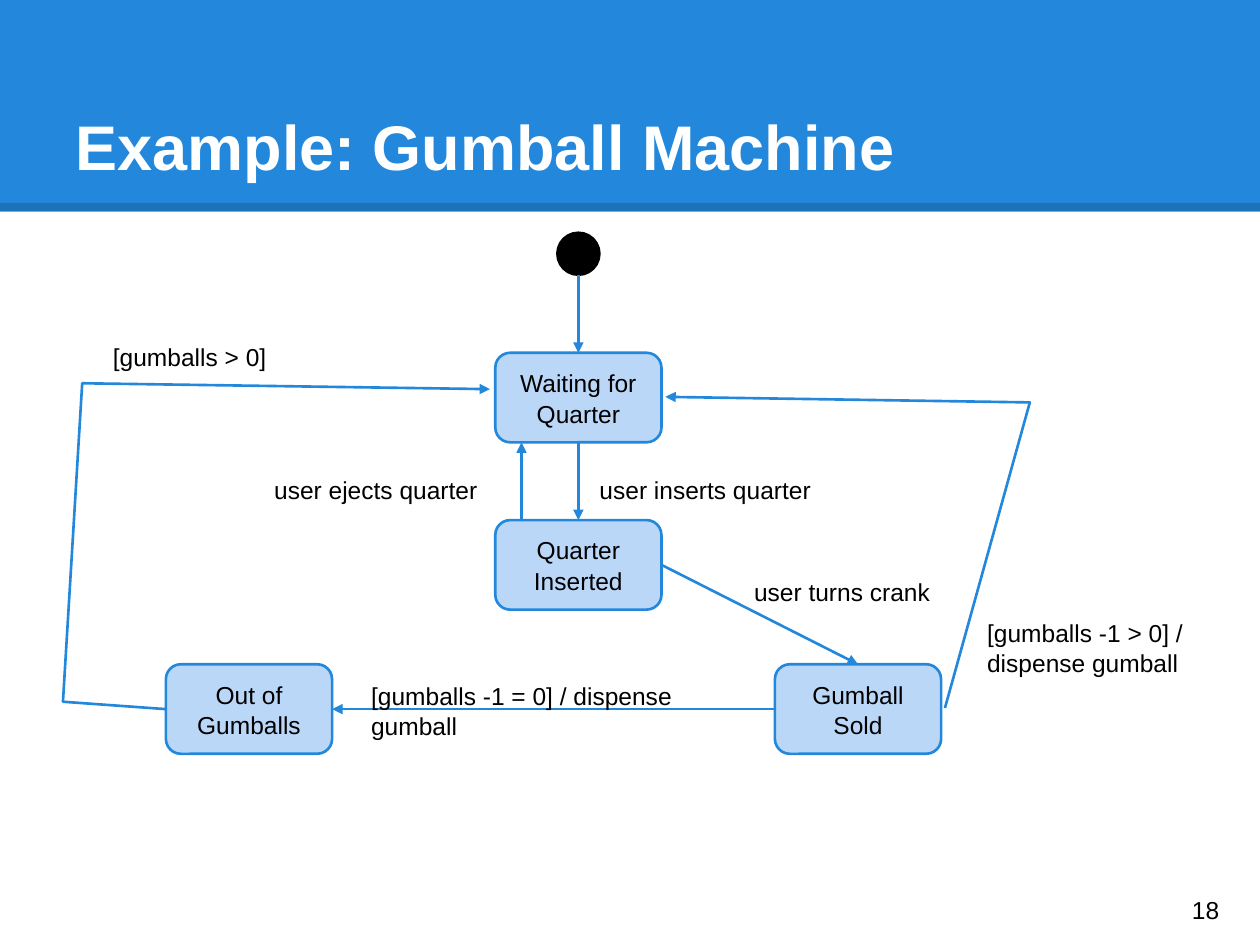
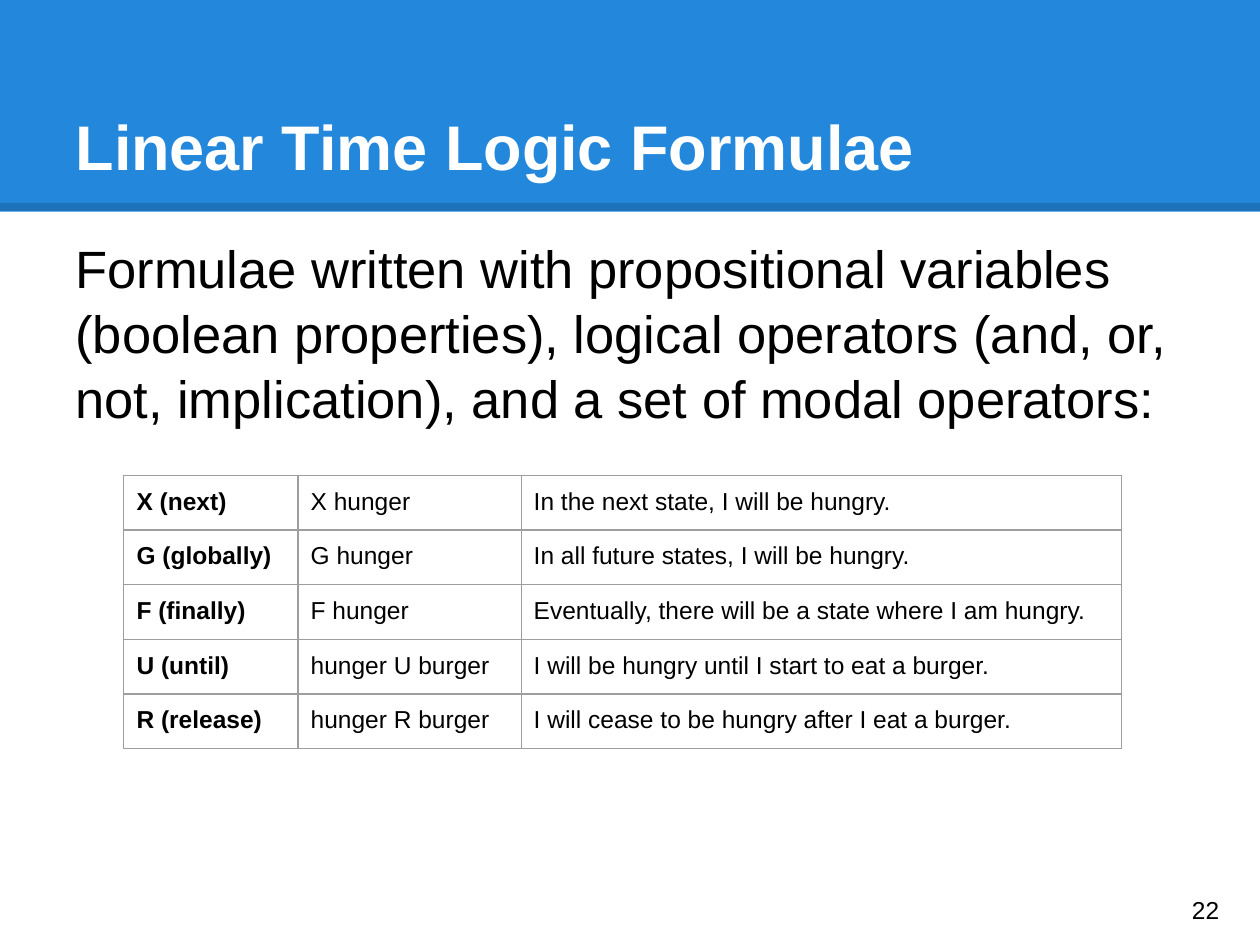
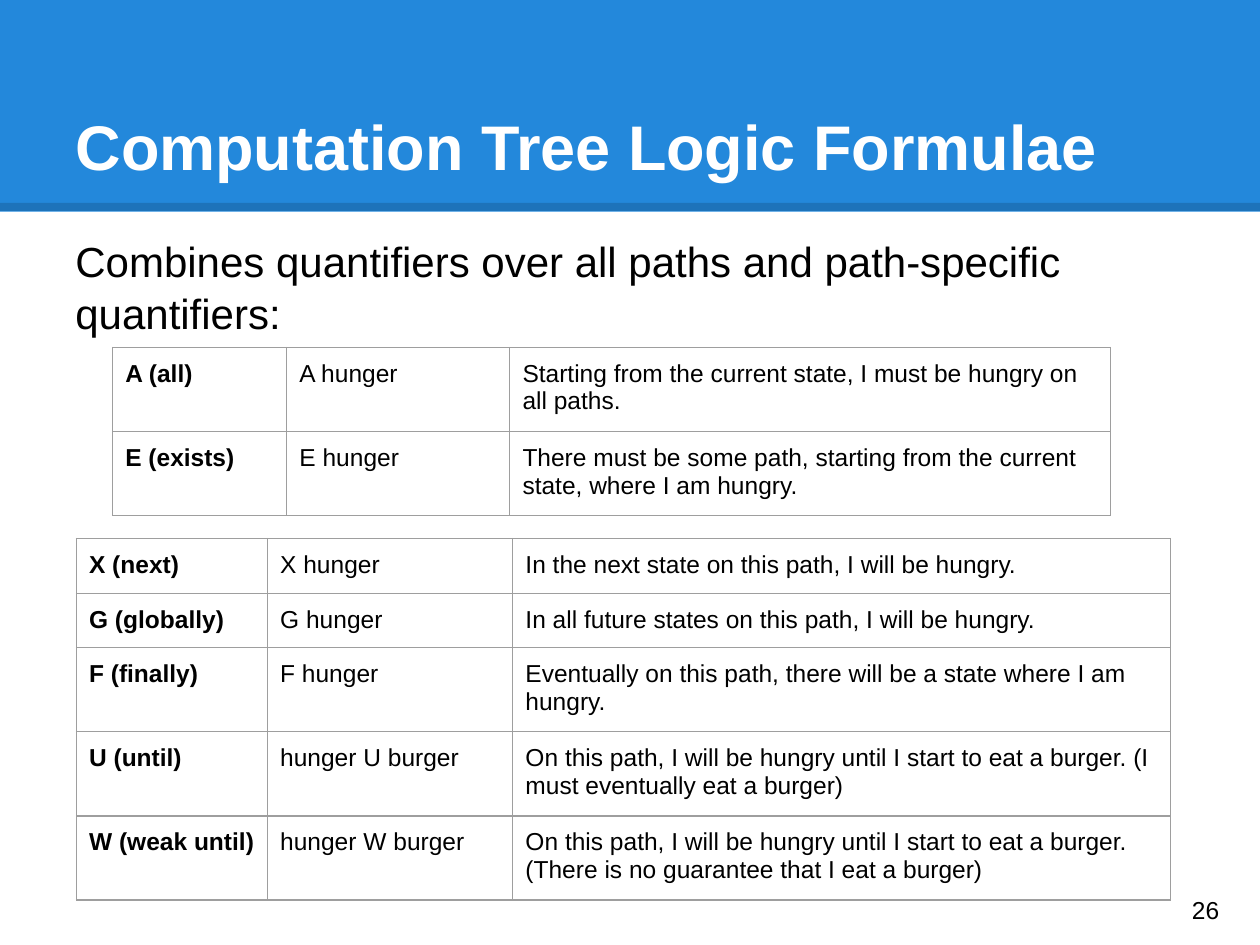
from typing import NamedTuple

from lxml import etree
from pptx import Presentation
from pptx.dml.color import RGBColor
from pptx.enum.shapes import MSO_CONNECTOR, MSO_SHAPE
from pptx.enum.text import MSO_ANCHOR, PP_ALIGN
from pptx.oxml.ns import qn
from pptx.util import Pt

STRAIGHT = MSO_CONNECTOR.STRAIGHT
RECTANGLE = MSO_SHAPE.RECTANGLE
ROUNDED = MSO_SHAPE.ROUNDED_RECTANGLE
OVAL = MSO_SHAPE.OVAL
TOP, MIDDLE, BOTTOM = MSO_ANCHOR.TOP, MSO_ANCHOR.MIDDLE, MSO_ANCHOR.BOTTOM
LEFT, CENTER = PP_ALIGN.LEFT, PP_ALIGN.CENTER
SITE_TOP, SITE_LEFT, SITE_BOTTOM, SITE_RIGHT = range(4)

FONT = "Arial"
BLUE = "2388DB"
PALE_BLUE = "BBD7F8"
BLACK = "000000"
WHITE = "FFFFFF"
GRID_GRAY = "9E9E9E"

SLIDE_WIDTH, SLIDE_HEIGHT = 720, 540
BAND_HEIGHT = 121
RULE_Y = 118.2
MARGIN = 7.2
SMALL = 14
LINE_WIDTH = 1.5
BODY_SPACING = 1.04
STATE_WIDTH, STATE_HEIGHT = 95, 51.2
LABEL_HEIGHT = 24
ROW_HEIGHT = 30.2


class State(NamedTuple):
    text: str
    left: float
    top: float


class Label(NamedTuple):
    text: str
    left: float
    top: float
    width: float


class Transition(NamedTuple):
    source: str
    source_site: int
    target: str
    target_site: int


class Operators(NamedTuple):
    left: float
    top: float
    widths: tuple
    rows: list


STATES = {
    "waiting": State("Waiting for Quarter", 283, 201.6),
    "inserted": State("Quarter Inserted", 283, 297.2),
    "sold": State("Gumball Sold", 442.8, 379.6),
    "empty": State("Out of Gumballs", 94.8, 379.6),
}
TRANSITIONS = [
    Transition("start", SITE_BOTTOM, "waiting", SITE_TOP),
    Transition("waiting", SITE_BOTTOM, "inserted", SITE_TOP),
    Transition("inserted", SITE_RIGHT, "sold", SITE_TOP),
    Transition("sold", SITE_LEFT, "empty", SITE_RIGHT),
]
RETURN_ROUTES = [
    [(540, 404.6), (588.5, 230), (380.2, 226.8)],
    [(94.8, 405.2), (36, 401), (47, 219), (280, 222.4)],
]
LABELS = [
    Label("user inserts quarter", 335.5, 263.4, 222),
    Label("user ejects quarter", 149.6, 263.4, 133),
    Label("user turns crank", 423.8, 321.6, 133),
    Label("[gumballs > 0]", 57.4, 187.4, 162),
    Label("[gumballs -1 > 0] / dispense gumball", 557, 345.2, 127),
    Label("[gumballs -1 = 0] / dispense gumball", 205, 381.2, 232.5),
]

NARROW_COLUMNS = (99.5, 127.5, 343)
WIDE_COLUMNS = (109.2, 140.2, 376)
LINEAR_OPERATORS = Operators(70.8, 271.6, NARROW_COLUMNS, [
    ("X (next)", "X hunger", "In the next state, I will be hungry."),
    ("G (globally)", "G hunger", "In all future states, I will be hungry."),
    ("F (finally)", "F hunger",
     "Eventually, there will be a state where I am hungry."),
    ("U (until)", "hunger U burger",
     "I will be hungry until I start to eat a burger."),
    ("R (release)", "hunger R burger",
     "I will cease to be hungry after I eat a burger."),
])
PATH_OPERATORS = Operators(43.7, 307.7, WIDE_COLUMNS, [
    ("X (next)", "X hunger",
     "In the next state on this path, I will be hungry."),
    ("G (globally)", "G hunger",
     "In all future states on this path, I will be hungry."),
    ("F (finally)", "F hunger",
     "Eventually on this path, there will be a state where I am hungry."),
    ("U (until)", "hunger U burger",
     "On this path, I will be hungry until I start to eat a burger. "
     "(I must eventually eat a burger)"),
    ("W (weak until)", "hunger W burger",
     "On this path, I will be hungry until I start to eat a burger. "
     "(There is no guarantee that I eat a burger)"),
])
QUANTIFIERS = Operators(64.4, 198.6, NARROW_COLUMNS, [
    ("A (all)", "A hunger",
     "Starting from the current state, I must be hungry on all paths."),
    ("E (exists)", "E hunger",
     "There must be some path, starting from the current state, "
     "where I am hungry."),
])


def rgb(color: str) -> RGBColor:
    return RGBColor.from_string(color)


def write(frame, text: str, size: float = SMALL, color: str = BLACK,
          bold: bool = False, align=LEFT, spacing: float = 1.0) -> None:
    frame.text = text
    paragraph = frame.paragraphs[0]
    paragraph.alignment = align
    paragraph.line_spacing = spacing
    for run in paragraph.runs:
        run.font.name = FONT
        run.font.size = Pt(size)
        run.font.bold = bold
        run.font.color.rgb = rgb(color)


def set_frame(frame, anchor) -> None:
    frame.word_wrap = True
    frame.vertical_anchor = anchor
    frame.margin_left = frame.margin_right = Pt(MARGIN)
    frame.margin_top = frame.margin_bottom = Pt(MARGIN)


def add_text(slide, text: str, left: float, top: float, width: float,
             height: float, size: float = SMALL, anchor=TOP) -> None:
    box = slide.shapes.add_textbox(Pt(left), Pt(top), Pt(width), Pt(height))
    set_frame(box.text_frame, anchor)
    write(box.text_frame, text, size, spacing=BODY_SPACING)


def add_filled(slide, preset, left: float, top: float, width: float,
               height: float, fill: str, outline: str = ""):
    shape = slide.shapes.add_shape(preset, Pt(left), Pt(top), Pt(width), Pt(height))
    shape.shadow.inherit = False
    shape.fill.solid()
    shape.fill.fore_color.rgb = rgb(fill)
    if outline:
        shape.line.color.rgb = rgb(outline)
        shape.line.width = Pt(LINE_WIDTH)
    else:
        shape.line.fill.background()
    return shape


def set_line(shape, color: str, width: float):
    shape.line.color.rgb = rgb(color)
    shape.line.width = Pt(width)
    return shape.element.spPr.find(qn("a:ln"))


def add_line(slide, x1: float, y1: float, x2: float, y2: float):
    line = slide.shapes.add_connector(STRAIGHT, Pt(x1), Pt(y1), Pt(x2), Pt(y2))
    set_line(line, BLUE, LINE_WIDTH)
    etree.SubElement(line.element.spPr, qn("a:effectLst"))
    return line


def add_arrowhead(shape) -> None:
    outline = set_line(shape, BLUE, LINE_WIDTH)
    etree.SubElement(outline, qn("a:tailEnd"), type="triangle")


def add_route(slide, points: list) -> None:
    corners = [(Pt(x), Pt(y)) for x, y in points]
    builder = slide.shapes.build_freeform(*corners[0])
    builder.add_line_segments(corners[1:], close=False)
    route = builder.convert_to_shape()
    route.shadow.inherit = False
    route.fill.background()
    add_arrowhead(route)


def add_operators(slide, operators: Operators) -> None:
    rows, widths = operators.rows, operators.widths
    table = slide.shapes.add_table(
        len(rows), len(widths), Pt(operators.left), Pt(operators.top),
        Pt(sum(widths)), Pt(ROW_HEIGHT * len(rows))).table
    table.first_row = False
    table.horz_banding = False
    for column, width in zip(table.columns, widths):
        column.width = Pt(width)
    for row, texts in zip(table.rows, rows):
        row.height = Pt(ROW_HEIGHT)
        for index, (cell, text) in enumerate(zip(row.cells, texts)):
            cell.margin_left = cell.margin_right = Pt(MARGIN)
            cell.margin_top = cell.margin_bottom = Pt(MARGIN)
            write(cell.text_frame, text, bold=index == 0)
            cell.fill.background()
            add_borders(cell)


def add_borders(cell) -> None:
    properties = cell._tc.get_or_add_tcPr()
    for position, side in enumerate(("lnL", "lnR", "lnT", "lnB")):
        border = etree.Element(qn(f"a:{side}"), w=str(Pt(0.75)))
        fill = etree.SubElement(border, qn("a:solidFill"))
        etree.SubElement(fill, qn("a:srgbClr"), val=GRID_GRAY)
        properties.insert(position, border)


def add_slide(deck, heading: str, number: int):
    slide = deck.slides.add_slide(deck.slide_layouts[5])
    band = add_filled(slide, RECTANGLE, 0, 0, SLIDE_WIDTH, BAND_HEIGHT, BLUE)
    rule = add_line(slide, 0, RULE_Y, SLIDE_WIDTH, RULE_Y)
    outline = set_line(rule, BLACK, 4.5)
    etree.SubElement(outline.find(f".//{qn('a:srgbClr')}"), qn("a:alpha"), val="15000")
    title = slide.shapes.title
    for backdrop in (band, rule):
        title.element.addprevious(backdrop.element)
    title.left, title.top, title.width, title.height = Pt(36), Pt(21.6), Pt(648), Pt(90)
    set_frame(title.text_frame, BOTTOM)
    write(title.text_frame, heading, 36, WHITE, bold=True)
    add_text(slide, str(number), 674, 499, 43, 41, anchor=MIDDLE)
    return slide


def add_state_machine(slide) -> None:
    nodes = {"start": add_filled(slide, OVAL, 318.5, 133, 24, 24, BLACK, BLACK)}
    for key, state in STATES.items():
        node = add_filled(slide, ROUNDED, state.left, state.top,
                          STATE_WIDTH, STATE_HEIGHT, PALE_BLUE, BLUE)
        set_frame(node.text_frame, MIDDLE)
        write(node.text_frame, state.text, align=CENTER, spacing=BODY_SPACING)
        nodes[key] = node
    for transition in TRANSITIONS:
        arrow = add_line(slide, 0, 0, 0, 0)
        arrow.begin_connect(nodes[transition.source], transition.source_site)
        arrow.end_connect(nodes[transition.target], transition.target_site)
        add_arrowhead(arrow)
    eject_x = 298
    add_arrowhead(add_line(slide, eject_x, STATES["inserted"].top, eject_x,
                           STATES["waiting"].top + STATE_HEIGHT))
    for route in RETURN_ROUTES:
        add_route(slide, route)
    for label in LABELS:
        add_text(slide, label.text, label.left, label.top, label.width, LABEL_HEIGHT)


def main() -> None:
    deck = Presentation()
    deck.slide_width, deck.slide_height = Pt(SLIDE_WIDTH), Pt(SLIDE_HEIGHT)

    add_state_machine(add_slide(deck, "Example: Gumball Machine", 18))

    linear = add_slide(deck, "Linear Time Logic Formulae", 22)
    add_text(linear, "Formulae written with propositional variables (boolean "
             "properties), logical operators (and, or, not, implication), "
             "and a set of modal operators:", 36, 126, 648, 391, 30)
    add_operators(linear, LINEAR_OPERATORS)

    tree = add_slide(deck, "Computation Tree Logic Formulae", 26)
    add_text(tree, "Combines quantifiers over all paths and path-specific "
             "quantifiers:", 36, 126, 672.5, 167, 24)
    add_operators(tree, PATH_OPERATORS)
    add_operators(tree, QUANTIFIERS)

    deck.save("out.pptx")


if __name__ == "__main__":
    main()
